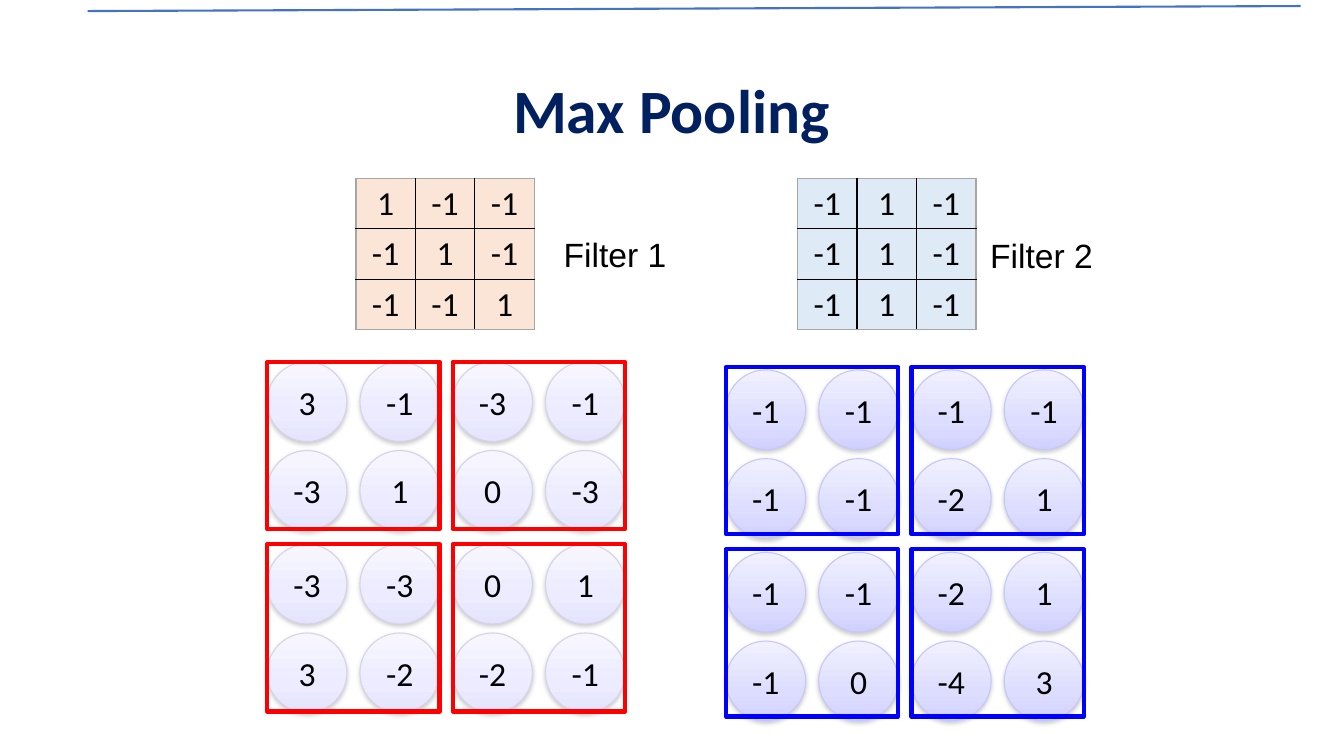
from pptx import Presentation
from pptx.dml.color import RGBColor
from pptx.enum.shapes import MSO_CONNECTOR, MSO_SHAPE
from pptx.enum.text import MSO_ANCHOR, PP_ALIGN
from pptx.oxml import parse_xml
from pptx.oxml.ns import nsdecls, qn
from pptx.util import Inches, Pt

STRAIGHT = MSO_CONNECTOR.STRAIGHT
ELLIPSE, RECTANGLE = MSO_SHAPE.OVAL, MSO_SHAPE.RECTANGLE
MIDDLE, TOP = MSO_ANCHOR.MIDDLE, MSO_ANCHOR.TOP
CENTER = PP_ALIGN.CENTER

BLACK = RGBColor(0x00, 0x00, 0x00)
NAVY = RGBColor(0x00, 0x20, 0x60)
RULE_BLUE = RGBColor(0x44, 0x72, 0xC4)
RED = RGBColor(0xFF, 0x00, 0x00)
BLUE = RGBColor(0x00, 0x00, 0xFF)
PEACH = RGBColor(0xFB, 0xE5, 0xD6)
PALE_BLUE = RGBColor(0xDE, 0xEB, 0xF7)
EDGE_GRAY = RGBColor(0xA6, 0xA6, 0xA6)
SHADOW_GRAY = RGBColor(0x80, 0x80, 0x80)
PALE_EDGE = RGBColor(0xD4, 0xD3, 0xE7)
LILAC_EDGE = RGBColor(0xC6, 0xC6, 0xFB)
PALE_STOPS = (RGBColor(0xF7, 0xF6, 0xFF), RGBColor(0xEC, 0xEB, 0xFF), RGBColor(0xE5, 0xE3, 0xFF))
LILAC_STOPS = (RGBColor(0xF0, 0xF0, 0xFF), RGBColor(0xDD, 0xDD, 0xFF), RGBColor(0xD0, 0xD0, 0xFF))

# Grid of the feature maps, in inches: 2 x 2 pools of 2 x 2 circles
CIRCLE = 0.79
COLUMN, ROW = 0.92, 0.88
POOL_COLUMN, POOL_ROW = 1.84, 1.81
POOL_WIDTH, POOL_HEIGHT = 1.71, 1.66

# Filter tables, in inches
CELL_WIDTH, CELL_HEIGHT = 0.59, 0.5
TABLE_TOP = 1.77

FILTER_1 = ((1, -1, -1), (-1, 1, -1), (-1, -1, 1))
FILTER_2 = ((-1, 1, -1),) * 3
MAP_1 = ((3, -1, -3, -1), (-3, 1, 0, -3), (-3, -3, 0, 1), (3, -2, -2, -1))
MAP_2 = ((-1, -1, -1, -1), (-1, -1, -2, 1), (-1, -1, -2, 1), (-1, 0, -4, 3))


def write(frame, text, size=24, font="Calibri", color=BLACK, bold=False):
    para = frame.paragraphs[0]
    para.text = str(text)
    para.alignment = CENTER
    para.font.size = Pt(size)
    para.font.name = font
    para.font.color.rgb = color
    para.font.bold = bold
    return para


def add_text(page, left, top, width, height, text, anchor=TOP, **style):
    box = page.shapes.add_textbox(*map(Inches, (left, top, width, height)))
    box.text_frame.word_wrap = True
    box.text_frame.vertical_anchor = anchor
    return write(box.text_frame, text, **style)


def add_top_rule(page):
    rule = page.shapes.add_connector(STRAIGHT, *map(Inches, (0.87, 0.11, 12.9, 0.06)))
    rule.line.color.rgb = RULE_BLUE
    rule.line.width = Pt(1.5)
    rule._element.spPr.append(parse_xml(f"<a:effectLst {nsdecls('a')}/>"))


def set_border(cell, sides):
    """Give a cell its edges; sides maps each edge tag to a colour."""
    properties = cell._tc.get_or_add_tcPr()
    for index, (tag, color) in enumerate(sides.items()):
        properties.insert(index, parse_xml(
            f'<a:{tag} {nsdecls("a")} w="12700"><a:solidFill>'
            f'<a:srgbClr val="{color}"/></a:solidFill></a:{tag}>'))


def add_filter(page, left, values, color):
    count = len(values)
    last = count - 1
    table = page.shapes.add_table(
        count, count, Inches(left), Inches(TABLE_TOP),
        Inches(count * CELL_WIDTH), Inches(count * CELL_HEIGHT)).table
    table.first_row = table.horz_banding = False
    for row, numbers in enumerate(values):
        for column, number in enumerate(numbers):
            cell = table.cell(row, column)
            write(cell.text_frame, number)
            cell.fill.solid()
            cell.fill.fore_color.rgb = color
            set_border(cell, {
                "lnL": EDGE_GRAY if column == 0 else BLACK,
                "lnR": EDGE_GRAY if column == last else BLACK,
                "lnT": EDGE_GRAY if row == 0 else BLACK,
                "lnB": EDGE_GRAY if row == last else BLACK})


def add_circle(page, left, top, number, stops, edge):
    circle = page.shapes.add_shape(
        ELLIPSE, Inches(left), Inches(top), Inches(CIRCLE), Inches(CIRCLE))
    circle.line.color.rgb = edge
    circle.line.width = Pt(0.75)
    # Three-stop gradient from top to bottom
    circle.fill.gradient()
    circle.fill.gradient_angle = 270
    properties = circle._element.spPr
    stop_list = properties.find(qn("a:gradFill")).find(qn("a:gsLst"))
    for stop in list(stop_list):
        stop_list.remove(stop)
    for position, color in zip((0, 65, 100), stops):
        stop_list.append(parse_xml(
            f'<a:gs {nsdecls("a")} pos="{position * 1000}"><a:srgbClr val="{color}"/></a:gs>'))
    # Soft shadow below
    circle.shadow.inherit = False
    properties.find(qn("a:effectLst")).append(parse_xml(
        f'<a:outerShdw {nsdecls("a")} blurRad="{Pt(3.1)}" dist="{Pt(1.6)}" dir="5400000" '
        f'rotWithShape="0"><a:srgbClr val="{SHADOW_GRAY}"><a:alpha val="38000"/>'
        '</a:srgbClr></a:outerShdw>'))
    circle.text_frame.vertical_anchor = MIDDLE
    write(circle.text_frame, number)


def add_pool(page, left, top, color):
    pool = page.shapes.add_shape(
        RECTANGLE, Inches(left), Inches(top), Inches(POOL_WIDTH), Inches(POOL_HEIGHT))
    pool.shadow.inherit = False
    pool.fill.background()
    pool.line.color.rgb = color
    pool.line.width = Pt(3)


def add_feature_map(page, left, top, pool_top, values, stops, edge, pool_color):
    for row, numbers in enumerate(values):
        for column, number in enumerate(numbers):
            x = left + column // 2 * POOL_COLUMN + column % 2 * COLUMN
            y = top + row // 2 * POOL_ROW + row % 2 * ROW
            add_circle(page, x, y, number, stops, edge)
    for row in range(2):
        for column in range(2):
            add_pool(page, left + column * POOL_COLUMN, pool_top + row * POOL_ROW, pool_color)


def main():
    deck = Presentation()
    deck.slide_width, deck.slide_height = Inches(13.33), Inches(7.5)
    page = deck.slides.add_slide(deck.slide_layouts[6])

    # Heading
    add_top_rule(page)
    title = add_text(page, 2.35, 0.4, 8.62, 1.45, "Max Pooling", MIDDLE,
                     size=44, color=NAVY, bold=True)
    title.line_spacing = 0.9

    # Filters
    add_filter(page, 3.53, FILTER_1, PEACH)
    add_text(page, 5.31, 2.27, 1.58, 0.51, "Filter 1", font="Arial")
    add_filter(page, 7.91, FILTER_2, PALE_BLUE)
    add_text(page, 9.54, 2.28, 1.58, 0.51, "Filter 2", font="Arial")

    # Feature maps with their pools
    add_feature_map(page, 2.65, 3.59, 3.59, MAP_1, PALE_STOPS, PALE_EDGE, RED)
    add_feature_map(page, 7.2, 3.67, 3.64, MAP_2, LILAC_STOPS, LILAC_EDGE, BLUE)

    deck.save("out.pptx")


if __name__ == "__main__":
    main()
